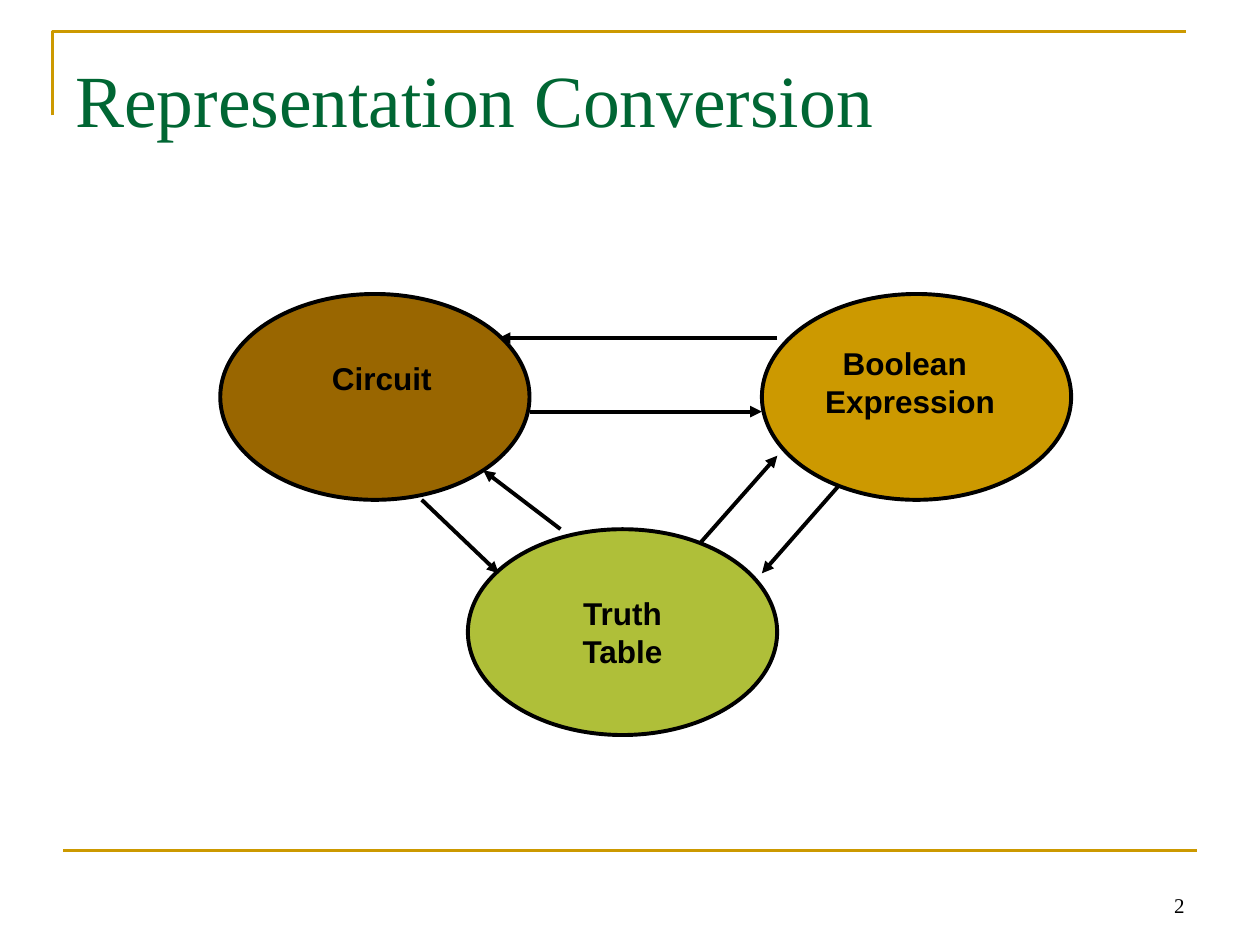
from pptx import Presentation
from pptx.dml.color import RGBColor
from pptx.enum.shapes import MSO_CONNECTOR, MSO_SHAPE
from pptx.enum.text import MSO_ANCHOR, PP_ALIGN
from pptx.oxml.ns import qn
from pptx.util import Pt
from lxml import etree

LEFT, CENTER, RIGHT = PP_ALIGN.LEFT, PP_ALIGN.CENTER, PP_ALIGN.RIGHT
TOP, MIDDLE, BOTTOM = MSO_ANCHOR.TOP, MSO_ANCHOR.MIDDLE, MSO_ANCHOR.BOTTOM
STRAIGHT, OVAL = MSO_CONNECTOR.STRAIGHT, MSO_SHAPE.OVAL

GOLD, GREEN, BLACK = "CC9900", "006633", "000000"
SERIF, SANS = "Times New Roman", "Arial"
NODE_SIZE = (176.7, 117.6)
NODES = [
    (125.9, 168, "996600", []),
    (435.4, 168, GOLD, []),
    (267.4, 302.4, "AFBF39", ["Truth", "Table"]),
]
LABELS = [
    (182.6, 201.6, 71.3, 29, ["Circuit"], 0),
    (464.4, 193.2, 111.6, 50.4, ["Boolean", "Expression"], 10),
]
ARROWS = [
    ((399.7, 310.8), (444.2, 260.4)),
    ((479.6, 277.2), (435.4, 327.6)),
    ((444.2, 193.2), (285, 193.2)),
    ((302.6, 235.2), (435.4, 235.2)),
    ((320.3, 302.4), (276.2, 268.8)),
    ((241, 285.6), (285, 327.6)),
]
CORNER = [(30, 66), (30, 18), (678, 18)]
FOOT_RULE = ((36, 486), (684, 486))


def rgb(color):
    return RGBColor.from_string(color)


def write(sp, lines, size, font, color, bold=False, align=LEFT, anchor=TOP,
          wrap=False, first_indent=0):
    tf = sp.text_frame
    tf.word_wrap = wrap
    tf.vertical_anchor = anchor
    for i, line in enumerate(lines):
        p = tf.paragraphs[0] if i == 0 else tf.add_paragraph()
        p.alignment = align
        if i == 0 and first_indent:
            p._p.get_or_add_pPr().set("marL", str(Pt(first_indent)))
        r = p.add_run()
        r.text = line
        r.font.size = Pt(size)
        r.font.name = font
        r.font.bold = bold
        r.font.color.rgb = rgb(color)


def add_text(s, x, y, w, h, lines, *style, **layout):
    sp = s.shapes.add_textbox(Pt(x), Pt(y), Pt(w), Pt(h))
    write(sp, lines, *style, **layout)
    return sp


def add_line(s, start, end, color, width, arrow=False):
    cx = s.shapes.add_connector(STRAIGHT, *map(Pt, start + end))
    cx.line.color.rgb = rgb(color)
    cx.line.width = Pt(width)
    if arrow:
        etree.SubElement(cx.line._get_or_add_ln(), qn("a:tailEnd"), type="triangle")
    etree.SubElement(cx._element.spPr, qn("a:effectLst"))


def add_corner(s):
    points = [(Pt(x), Pt(y)) for x, y in CORNER]
    fb = s.shapes.build_freeform(*points[0])
    fb.add_line_segments(points[1:], close=False)
    sp = fb.convert_to_shape()
    sp.shadow.inherit = False
    sp.fill.background()
    sp.line.color.rgb = rgb(GOLD)
    sp.line.width = Pt(1.5)


def add_node(s, x, y, color, lines):
    sp = s.shapes.add_shape(OVAL, Pt(x), Pt(y), *map(Pt, NODE_SIZE))
    sp.shadow.inherit = False
    sp.fill.solid()
    sp.fill.fore_color.rgb = rgb(color)
    sp.line.color.rgb = rgb(BLACK)
    sp.line.width = Pt(2.25)
    write(sp, lines, 18, SANS, BLACK, bold=True, align=CENTER, anchor=MIDDLE)


def main():
    prs = Presentation()
    prs.slide_width, prs.slide_height = Pt(720), Pt(540)
    s = prs.slides.add_slide(prs.slide_layouts[6])
    add_corner(s)
    add_line(s, *FOOT_RULE, GOLD, 1.5)
    title = add_text(s, 36, 21.6, 648, 90, ["Representation Conversion"],
                     42, SERIF, GREEN, wrap=True)
    title.text_frame.margin_top = Pt(9.5)
    add_text(s, 516, 492, 168, 36, ["2"], 12, SERIF, BLACK,
             align=RIGHT, anchor=BOTTOM, wrap=True)
    for node in NODES:
        add_node(s, *node)
    for x, y, w, h, lines, indent in LABELS:
        add_text(s, x, y, w, h, lines, 18, SANS, BLACK, bold=True, first_indent=indent)
    for start, end in ARROWS:
        add_line(s, start, end, BLACK, 2.25, arrow=True)
    prs.save("out.pptx")


if __name__ == "__main__":
    main()
